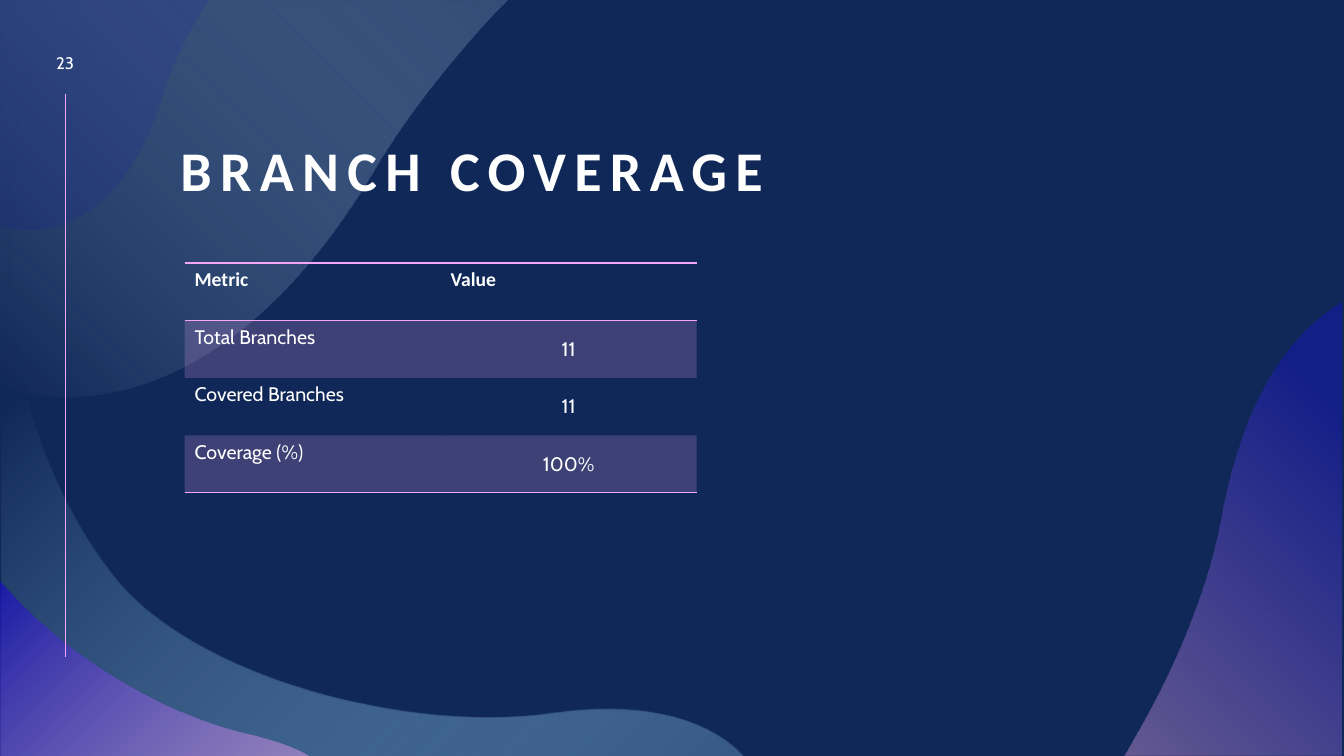
from lxml import etree
from pptx import Presentation
from pptx.dml.color import RGBColor
from pptx.enum.shapes import MSO_CONNECTOR
from pptx.enum.text import MSO_ANCHOR, PP_ALIGN
from pptx.util import Inches, Pt

STRAIGHT = MSO_CONNECTOR.STRAIGHT
CENTER, LEFT = PP_ALIGN.CENTER, PP_ALIGN.LEFT
TOP, MIDDLE, BOTTOM = MSO_ANCHOR.TOP, MSO_ANCHOR.MIDDLE, MSO_ANCHOR.BOTTOM
NS = "http://schemas.openxmlformats.org/drawingml/2006/main"
NO_GRID_STYLE = "{2D5ABB26-0587-4C30-8999-92F81FD0307C}"

# Content
TITLE = "BRANCH COVERAGE"
PAGE_NUMBER = "23"
METRICS = [
    ("Metric", "Value"),
    ("Total Branches", "11"),
    ("Covered Branches", "11"),
    ("Coverage (%)", "100%"),
]

THEME = {
    "navy": "102857", "white": "FFFFFF", "pink": "F6A6F4", "blue": "180DC2",
    "heading": "Calibri", "body": "Cabin",
    "title_size": 40, "table_size": 14, "page_size": 12,
}

# Waves: outline (2 numbers = line, 6 = curve), colour stops
# (position, colour, opacity), and a focus rectangle or an angle
FROM_BOTTOM_RIGHT = (100, 100, 0, 0)
FROM_BOTTOM_LEFT = (0, 100, 100, 0)
WAVES = [
    ([(0.02, 0), (0.46, 0), (0.45, 0.02), (0.41, 0.2, 0.36, 0.38, 0.29, 0.58),
      (-0.22, 2.95, 0.32, 4.65, 1.11, 5.68), (1.89, 6.72, 4.07, 7.28, 5.48, 7.07),
      (6.34, 6.95, 6.93, 7.11, 7.29, 7.42), (7.37, 7.5), (0.02, 7.5)],
     [(0, "92CDF0", 30), (73, THEME["navy"], 100)], FROM_BOTTOM_RIGHT),
    ([(0.01, 0.01), (5.03, 0.01), (4.88, 0.16), (4.43, 0.65, 4.03, 1.16, 3.73, 1.66),
      (2.63, 3.53, 1.34, 4.09, 0.23, 3.9), (0.01, 3.84)],
     [(0, THEME["navy"], 56), (99, "BEE1F6", 20)], 315),
    ([(0, 0), (2.07, 0), (2.01, 0.1), (1.83, 0.39, 1.69, 0.69, 1.61, 0.97),
      (1.28, 2.02, 0.67, 2.36, 0.1, 2.27), (0, 2.24), (0, 0)],
     [(0, THEME["blue"], 11)], None),
    ([(0, 5.76), (0.11, 5.88), (0.71, 6.54, 1.65, 7.09, 2.42, 7.27),
      (2.64, 7.32, 2.84, 7.38, 3, 7.46), (3.07, 7.5), (0, 7.5)],
     [(0, THEME["pink"], 45), (98, THEME["blue"], 67)], FROM_BOTTOM_RIGHT),
    ([(13.31, 2.99), (13.31, 7.5), (11.15, 7.5), (11.27, 7.29),
      (11.69, 6.56, 12, 5.78, 12.12, 5.09), (12.31, 4.09, 12.68, 3.46, 13.15, 3.1),
      (13.31, 2.99)],
     [(0, "F7AFF5", 36), (83, "1C0FE1", 35)], FROM_BOTTOM_LEFT),
]


def color_xml(color, opacity=100):
    alpha = f'<a:alpha val="{opacity * 1000}"/>' if opacity < 100 else ""
    return f'<a:srgbClr val="{color}">{alpha}</a:srgbClr>'


def fill_xml(stops, direction=None):
    if direction is None:
        _, color, opacity = stops[0]
        return f'<a:solidFill xmlns:a="{NS}">{color_xml(color, opacity)}</a:solidFill>'
    marks = "".join(f'<a:gs pos="{at * 1000}">{color_xml(color, opacity)}</a:gs>'
                    for at, color, opacity in stops)
    if isinstance(direction, tuple):
        sides = " ".join(f'{side}="{value * 1000}"' for side, value in zip("ltrb", direction))
        shade = f'<a:path path="circle"><a:fillToRect {sides}/></a:path>'
    else:
        shade = f'<a:lin ang="{direction * 60000}" scaled="0"/>'
    return (f'<a:gradFill xmlns:a="{NS}" rotWithShape="1">'
            f'<a:gsLst>{marks}</a:gsLst>{shade}</a:gradFill>')


def set_fill(owner, properties, xml):
    owner.fill.background()
    empty = properties.find(f"{{{NS}}}noFill")
    properties.replace(empty, etree.fromstring(xml))


def bend_segments(wave, parts):
    """Turn the straight segments that stand for curves into Bezier curves."""
    segments = list(wave._element.spPr.iter(f"{{{NS}}}lnTo"))
    for segment, part in zip(segments, parts):
        if len(part) == 6:
            points = "".join(
                f'<a:pt x="{Inches(x) - wave.left}" y="{Inches(y) - wave.top}"/>'
                for x, y in zip(part[::2], part[1::2]))
            curve = f'<a:cubicBezTo xmlns:a="{NS}">{points}</a:cubicBezTo>'
            segment.getparent().replace(segment, etree.fromstring(curve))


def add_wave(slide, outline, stops, direction):
    start, *rest = [tuple(map(Inches, part[-2:])) for part in outline]
    builder = slide.shapes.build_freeform(*start)
    builder.add_line_segments(rest, close=True)
    wave = builder.convert_to_shape()
    bend_segments(wave, outline[1:])
    wave.shadow.inherit = False
    wave.line.fill.background()
    set_fill(wave, wave._element.spPr, fill_xml(stops, direction))


def write(frame, text, size, family, bold=False, align=LEFT):
    frame.text = text
    paragraph = frame.paragraphs[0]
    paragraph.alignment = align
    font = paragraph.runs[0].font
    font.size, font.name, font.bold = Pt(size), family, bold
    font.color.rgb = RGBColor.from_string(THEME["white"])
    return paragraph


def add_label(slide, box, anchor, *style, **options):
    frame = slide.shapes.add_textbox(*map(Inches, box)).text_frame
    frame.word_wrap = True
    frame.vertical_anchor = anchor
    return write(frame, *style, **options)


def set_borders(cell, ruled):
    properties = cell._tc.get_or_add_tcPr()
    for index, side in enumerate(ruled):
        border = (f'<a:ln{side} xmlns:a="{NS}" w="12700"><a:solidFill>'
                  f'{color_xml(THEME["pink"])}</a:solidFill></a:ln{side}>')
        properties.insert(index, etree.fromstring(border))


def add_metrics(slide):
    rows, columns = len(METRICS), len(METRICS[0])
    box = map(Inches, (1.83, 2.61, 5.08, 2.28))
    table = slide.shapes.add_table(rows, columns, *box).table
    table._tbl.tblPr.find(f"{{{NS}}}tableStyleId").text = NO_GRID_STYLE
    borders = {0: "TB", rows - 1: "B"}
    for r, record in enumerate(METRICS):
        header = r == 0
        for c, text in enumerate(record):
            cell = table.cell(r, c)
            is_value = c > 0 and not header
            cell.vertical_anchor = MIDDLE if is_value else TOP
            write(cell.text_frame, text, THEME["table_size"],
                  THEME["heading"] if header else THEME["body"],
                  bold=header, align=CENTER if is_value else LEFT)
            if r % 2:
                set_fill(cell, cell._tc.get_or_add_tcPr(),
                         fill_xml([(0, THEME["pink"], 20)]))
            else:
                cell.fill.background()
            set_borders(cell, borders.get(r, ""))


def main():
    deck = Presentation()
    deck.slide_width, deck.slide_height = Inches(13.33), Inches(7.5)
    slide = deck.slides.add_slide(deck.slide_layouts[6])
    slide.background.fill.solid()
    slide.background.fill.fore_color.rgb = RGBColor.from_string(THEME["navy"])

    # Background waves
    for wave in WAVES:
        add_wave(slide, *wave)

    # Side rule
    rule = slide.shapes.add_connector(
        STRAIGHT, Inches(0.65), Inches(0.93), Inches(0.65), Inches(6.52))
    rule.line.color.rgb = RGBColor.from_string(THEME["pink"])
    rule.line.width = Pt(0.5)
    etree.SubElement(rule._element.spPr, f"{{{NS}}}effectLst")

    # Title and page number
    title = add_label(slide, (1.69, 0.9, 9.71, 1.17), BOTTOM, TITLE,
                      THEME["title_size"], THEME["heading"], bold=True)
    title.line_spacing = 0.9
    title.runs[0].font._element.set("spc", "600")
    add_label(slide, (0.36, 0.45, 0.57, 0.34), MIDDLE, PAGE_NUMBER,
              THEME["page_size"], THEME["body"], align=CENTER)

    # Coverage table
    add_metrics(slide)
    deck.save("out.pptx")


if __name__ == "__main__":
    main()
